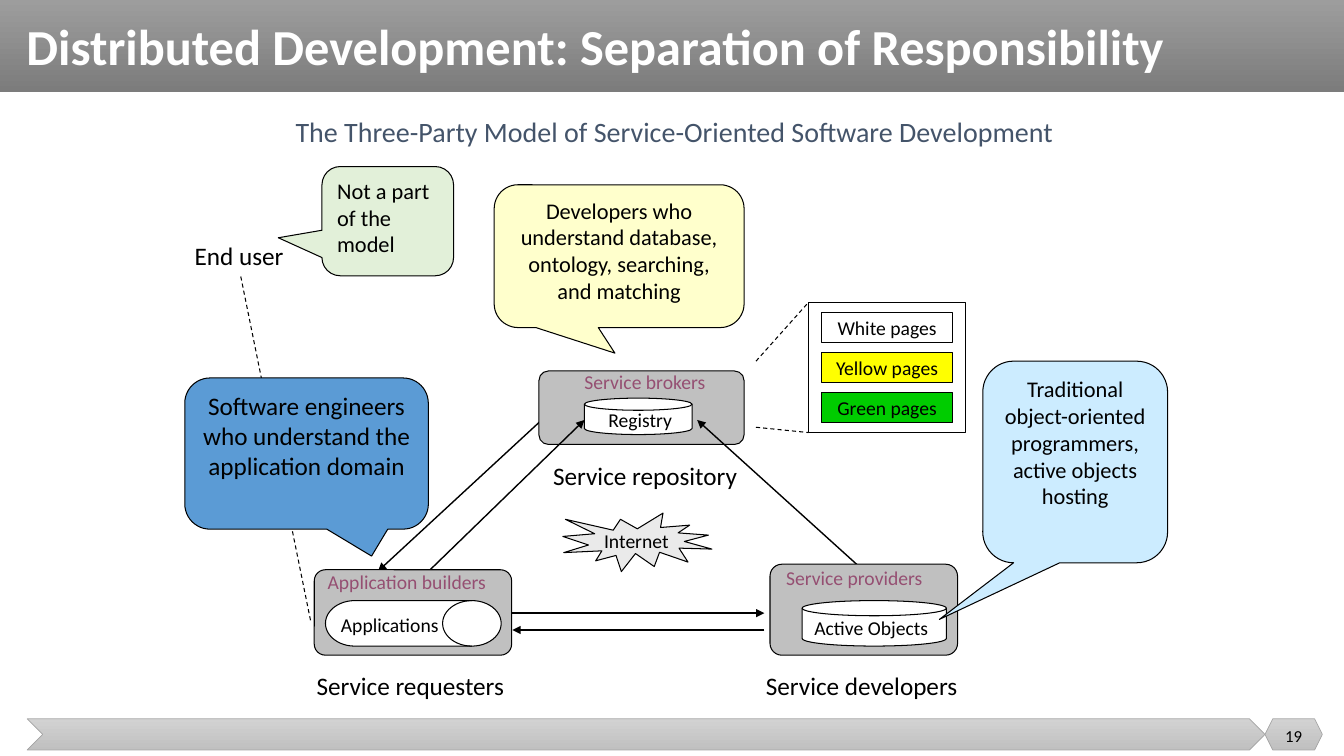
from collections import namedtuple

import pptx
import pptx.util
import pptx.dml.color
import pptx.enum.dml
import pptx.enum.shapes
import pptx.enum.text
import pptx.oxml
import pptx.oxml.ns

Pt = pptx.util.Pt
Form = pptx.enum.shapes.MSO_SHAPE
Align = pptx.enum.text.PP_ALIGN
Anchor = pptx.enum.text.MSO_ANCHOR
Box = namedtuple("Box", "x y w h")


class Theme:
    font = "Calibri"
    black, white = "000000", "FFFFFF"
    head, bar, edge = ("9D9D9D", "7C7C7C"), ("D2D2D2", "C0C0C0"), "A5A5A5"
    topic, role, party, burst = "44546A", "954F72", "C0C0C0", "EAEAEA"
    yellow, green = "FFFF00", "00CC00"
    sky, cream, blue, mint = "CCECFF", "FFFFCC", "5B9BD5", "E2F0D9"
    tiny, small, note, body, lead, title = 12, 14, 16, 18, 20, 36
    thin, line, link = 0.5, 0.75, 1


def color(code):
    return pptx.dml.color.RGBColor.from_string(code)


def place(box, x, y, w, h):
    """Box at an offset inside another box."""
    return Box(box.x + x, box.y + y, w, h)


def write(frame, text, size, tint=Theme.black, align=Align.LEFT,
          anchor=Anchor.TOP, wrap=True, pad=(7.2, 3.6), bold=False):
    frame.word_wrap = wrap
    frame.vertical_anchor = anchor
    frame.margin_left = frame.margin_right = Pt(pad[0])
    frame.margin_top = frame.margin_bottom = Pt(pad[1])
    para = frame.paragraphs[0]
    para.alignment = align
    run = para.add_run()
    run.text = text
    font = run.font
    font.name, font.size, font.bold = Theme.font, Pt(size), bold
    font.color.rgb = color(tint)


def label(slide, box, text, size, **style):
    area = slide.shapes.add_textbox(*map(Pt, box))
    write(area.text_frame, text, size, **style)


def shape(slide, form, box, fill=None, edge=Theme.black, width=Theme.line, adj=()):
    item = slide.shapes.add_shape(form, *map(Pt, box))
    item.shadow.inherit = False
    for i, value in enumerate(adj):
        item.adjustments[i] = value
    if fill is None:
        item.fill.background()
    elif isinstance(fill, tuple):
        item.fill.gradient()
        item.fill.gradient_angle = 270
        for stop, tint in zip(item.fill.gradient_stops, fill):
            stop.color.rgb = color(tint)
    else:
        item.fill.solid()
        item.fill.fore_color.rgb = color(fill)
    if edge:
        item.line.color.rgb = color(edge)
        item.line.width = Pt(width)
    else:
        item.line.fill.background()
    return item


def link(slide, start, end, dash=False):
    """Dashed line, or solid line with an arrowhead at its end."""
    item = slide.shapes.add_connector(
        pptx.enum.shapes.MSO_CONNECTOR.STRAIGHT, *map(Pt, start + end))
    item.line.color.rgb = color(Theme.black)
    item.line.width = Pt(Theme.line if dash else Theme.link)
    if dash:
        item.line.dash_style = pptx.enum.dml.MSO_LINE.DASH
    else:
        tail = pptx.oxml.parse_xml(
            '<a:tailEnd %s type="triangle"/>' % pptx.oxml.ns.nsdecls("a"))
        item.line._get_or_add_ln().append(tail)
    item._element.spPr.append(
        pptx.oxml.parse_xml("<a:effectLst %s/>" % pptx.oxml.ns.nsdecls("a")))


def header(slide, box, text):
    shape(slide, Form.RECTANGLE, box, Theme.head, None)
    title = slide.shapes.title
    title.element.getparent().append(title.element)  # in front of the band
    area = place(box, 11, 8.5, box.w - 12, 54)
    title.left, title.top, title.width, title.height = map(Pt, area)
    frame = title.text_frame
    frame.auto_size = pptx.enum.text.MSO_AUTO_SIZE.NONE
    write(frame, text, Theme.title, Theme.white, anchor=Anchor.MIDDLE,
          pad=(7.9, 3.6), bold=True)
    frame.paragraphs[0].line_spacing = 0.9


def footer(slide, box, page):
    tip = 41
    shape(slide, Form.CHEVRON, place(box, 0, 0, box.w - tip, box.h),
          Theme.bar, Theme.edge, Theme.thin)
    cell = place(box, box.w - tip, 0, tip, box.h)
    shape(slide, Form.HEXAGON, cell, Theme.bar, Theme.edge, Theme.thin)
    label(slide, place(cell, 0, -2, tip, 28.5), page, Theme.tiny,
          align=Align.CENTER, anchor=Anchor.MIDDLE)


def party(slide, box, role, spot, form, store, name, mark):
    """Grey box with its role, a store inside and the store's name."""
    shape(slide, Form.ROUNDED_RECTANGLE, box, Theme.party, adj=(0.13,))
    shape(slide, form, place(box, *store), Theme.white)
    for text, area, tint in ((role, spot, Theme.role), (name, mark, Theme.black)):
        label(slide, place(box, *area, 17), text, Theme.small, tint=tint,
              wrap=False, pad=(0, 0))


def pages(slide, box):
    shape(slide, Form.RECTANGLE, box)
    rows = (("White pages", Theme.white), ("Yellow pages", Theme.yellow),
            ("Green pages", Theme.green))
    for i, (text, fill) in enumerate(rows):
        row = shape(slide, Form.RECTANGLE,
                    place(box, 9.2, 7.2 + 28.6 * i, 94, 21.6), fill)
        write(row.text_frame, text, Theme.small, align=Align.CENTER,
              anchor=Anchor.MIDDLE, wrap=False)
    link(slide, (box.x - 37.5, box.y + 89.2), (box.x, box.y + box.h), dash=True)
    link(slide, (box.x - 37.5, box.y + 42), (box.x, box.y), dash=True)


def burst(slide, box, text):
    item = shape(slide, Form.EXPLOSION1, box, Theme.burst)
    write(item.text_frame, text, Theme.small, align=Align.CENTER,
          anchor=Anchor.MIDDLE, wrap=False)


def callout(slide, box, text, fill, tip, size=Theme.note, align=Align.CENTER):
    item = shape(slide, Form.ROUNDED_RECTANGULAR_CALLOUT, box, fill,
                 adj=(*tip, 0.167))
    write(item.text_frame, text, size, align=align)


def model(slide, box):
    """The three parties, their links and the notes around them."""
    def at(x, y, w, h):
        return place(box, x, y, w, h)

    def join(start, end, dash=False):
        link(slide, (box.x + start[0], box.y + start[1]),
             (box.x + end[0], box.y + end[1]), dash)

    # Parties and arrows
    join((262.5, 215), (138, 330))
    party(slide, at(253, 187, 146.5, 52.5), "Service brokers", (32.4, -0.7, 92),
          Form.FLOWCHART_MAGNETIC_DISK, (32.4, 19.4, 77, 26), "Registry", (49.5, 26.5, 49))
    join((168, 336), (285.5, 222))
    join((492, 336), (366, 222))
    party(slide, at(418, 325, 134, 65), "Service providers", (11.5, 1.5, 103),
          Form.FLOWCHART_MAGNETIC_DISK, (23, 26, 103, 32.5), "Active Objects", (31.7, 36.7, 86))
    party(slide, at(92.5, 329, 141, 61), "Application builders", (9.5, 0, 119),
          Form.FLOWCHART_DIRECT_ACCESS_STORAGE, (8, 22, 125.5, 32.5), "Applications", (19, 31, 73.5))
    join((234, 360), (414, 360))
    join((414, 372), (234, 372))

    # Network and registry pages
    burst(slide, at(270, 288.5, 106.5, 41.8), "Internet")
    pages(slide, at(445.5, 138, 112, 93))

    # Captions
    label(slide, at(72, 0, 580, 31.5), "The Three-Party Model of Service-Oriented "
          "Software Development", Theme.lead, tint=Theme.topic, wrap=False)
    for text, x, y, w in (("Service requesters", 87, 397, 156),
                          ("Service developers", 408, 397, 159),
                          ("Service repository", 256, 247.5, 153),
                          ("End user", 0, 90, 81)):
        label(slide, at(x, y, w, 29), text, Theme.body, wrap=False)

    # Notes
    callout(slide, at(570, 180, 132, 144), "Traditional object-oriented programmers, "
            "active objects hosting", Theme.sky, (-0.735, 0.781))
    callout(slide, at(221, 54, 178.5, 102), "Developers who understand database, "
            "ontology, searching, and matching", Theme.cream, (-0.017, 0.679))
    join((40, 119.5), (90, 366), dash=True)
    callout(slide, at(0, 192, 174, 108), "Software engineers who understand the "
            "application domain", Theme.blue, (0.267, 0.678), Theme.body)
    callout(slide, at(98, 41, 94, 78), "Not a part of the model", Theme.mint,
            (-0.832, 0.152), align=Align.LEFT)


def main():
    deck = pptx.Presentation()
    deck.slide_width, deck.slide_height = Pt(960), Pt(540)
    slide = deck.slides.add_slide(deck.slide_layouts[5])
    header(slide, Box(0, 0, 960, 65.5),
           "Distributed Development: Separation of Responsibility")
    footer(slide, Box(19.4, 513.4, 925.2, 22.3), "19")
    model(slide, Box(132, 78, 702, 426))
    deck.save("out.pptx")


if __name__ == "__main__":
    main()
